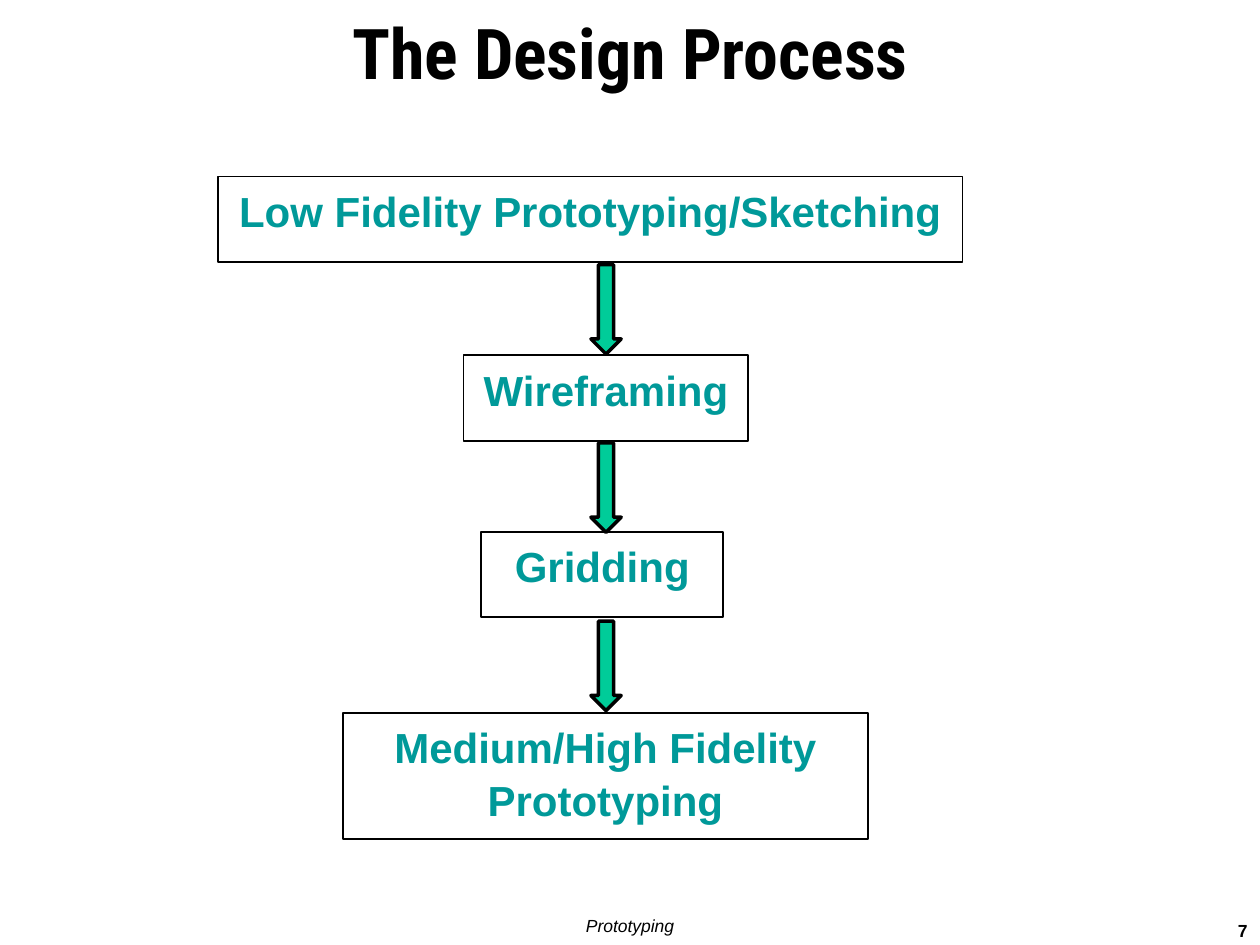
from pptx import Presentation
from pptx.dml.color import RGBColor
from pptx.enum.shapes import MSO_SHAPE as Shape
from pptx.enum.text import MSO_ANCHOR as Anchor, PP_ALIGN as Align
from pptx.util import Inches, Pt

COLORS = {"black": "000000", "teal": "009999", "green": "00CC99"}
COLS, ROWS = 100, 75  # grid of the slide


class Deck:
    def __init__(self, width=10, height=7.5):
        self.prs = Presentation()
        self.prs.slide_width, self.prs.slide_height = Inches(width), Inches(height)
        self.s = self.prs.slides.add_slide(self.prs.slide_layouts[5])

    def color(self, name):
        return RGBColor.from_string(COLORS[name])

    def place(self, col, row, cols, rows):
        dx, dy = self.prs.slide_width / COLS, self.prs.slide_height / ROWS
        return [round(v) for v in (col * dx, row * dy, cols * dx, rows * dy)]

    def set_text(self, sp, text, size, color="black", font="Arial", bold=False,
                 italic=False, align=Align.CENTER, anchor=Anchor.TOP, spacing=1.0):
        tf = sp.text_frame
        tf.word_wrap, tf.vertical_anchor = True, anchor
        p = tf.paragraphs[0]
        p.text, p.alignment, p.line_spacing = text, align, spacing
        f = p.font
        f.name, f.size, f.bold, f.italic = font, Pt(size), bold, italic
        f.color.rgb = self.color(color)

    def title(self, text, *cell):
        sp = self.s.shapes.title
        sp.left, sp.top, sp.width, sp.height = self.place(*cell)
        self.set_text(sp, text, 40, font="Roboto Condensed", bold=True, anchor=Anchor.MIDDLE)

    def text(self, text, *cell, **style):
        self.set_text(self.s.shapes.add_textbox(*self.place(*cell)), text, 10, **style)

    def shape(self, kind, cell, line, fill=None):
        sp = self.s.shapes.add_shape(kind, *self.place(*cell))
        sp.shadow.inherit = False
        sp.line.color.rgb, sp.line.width = self.color("black"), Pt(line)
        if fill:
            sp.fill.solid()
            sp.fill.fore_color.rgb = self.color(fill)
        else:
            sp.fill.background()
        return sp

    def step(self, text, *cell):
        sp = self.shape(Shape.RECTANGLE, cell, 1)
        self.set_text(sp, text, 24, "teal", bold=True, spacing=1.05)

    def arrow(self, *cell):
        self.shape(Shape.DOWN_ARROW, cell, 2, "green")


def main():
    deck = Deck()
    deck.title("The Design Process", 0, 0.5, COLS, 7.1)

    # Process steps: text, column, row, width, height
    for step in [
        ("Low Fidelity Prototyping/Sketching", 17.3, 14, 59.1, 6.8),
        ("Wireframing", 36.8, 28.2, 22.6, 6.8),
        ("Gridding", 38.2, 42.2, 19.2, 6.8),
        ("Medium/High Fidelity Prototyping", 27.2, 56.6, 41.7, 10),
    ]:
        deck.step(*step)

    # Arrows between the steps
    for i in range(3):
        deck.arrow(46.9, 21 + 14.15 * i, 2.4, 7.1)

    # Footer and page number
    deck.text("Prototyping", 0, 72.1, COLS, 2.7, italic=True)
    deck.text("7", 79.2, 72.5, 20.8, 2.5, bold=True, align=Align.RIGHT)

    deck.prs.save("out.pptx")


if __name__ == "__main__":
    main()
